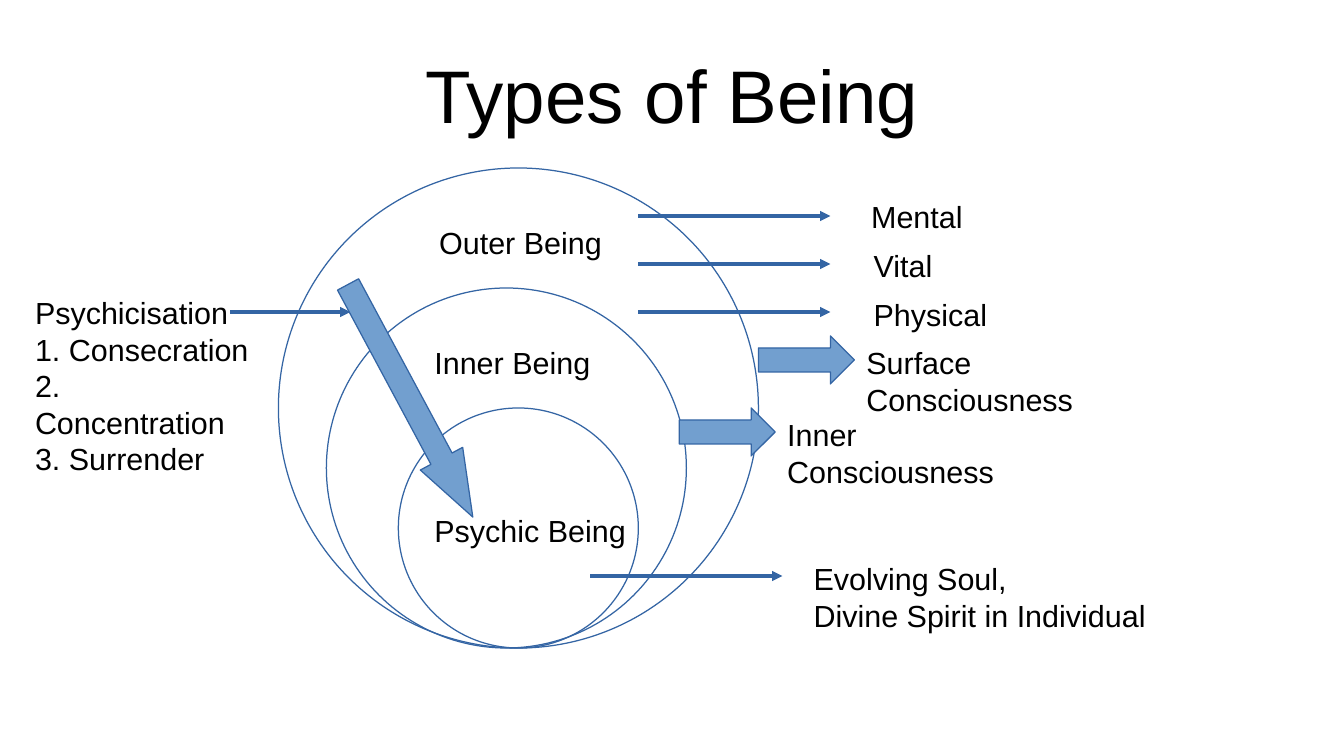
"""Build the "Types of Being" slide on a grid of 28 columns and 15.75 rows."""
from dataclasses import dataclass

from lxml.etree import SubElement
from pptx import Presentation
from pptx.dml.color import RGBColor
from pptx.enum.shapes import MSO_CONNECTOR, MSO_SHAPE
from pptx.enum.text import MSO_ANCHOR, PP_ALIGN
from pptx.oxml.ns import qn
from pptx.util import Inches, Pt

BLUE_LINE = RGBColor(0x34, 0x65, 0xA4)
BLUE_FILL = RGBColor(0x72, 0x9F, 0xCF)
BLACK = RGBColor(0, 0, 0)
FONT = "Arial"
COLUMNS, ROWS = 28, 15.75
WIDTH, HEIGHT = Inches(11.02), Inches(6.2)
CIRCLE_BOTTOM = 13.5
BODY_SIZE, TITLE_SIZE = 18, 44


@dataclass
class Circle:
    column: float
    diameter: float


@dataclass
class BlockArrow:
    column: float
    row: float
    length: float
    rotation: float = 0
    head: float = 0.5


@dataclass
class Pointer:
    column: float
    row: float
    length: float


@dataclass
class Label:
    column: float
    row: float
    width: float
    lines: tuple[str, ...]


CIRCLES = [Circle(8.3, 5), Circle(5.8, 10), Circle(6.8, 7.5)]
POINTERS = [Pointer(13.3, row, 4) for row in (4.5, 5.5, 6.5)] + [
    Pointer(12.3, 12, 4),
    Pointer(4.8, 6.5, 2.5),
]
BLOCK_ARROWS = [
    BlockArrow(15.8, 7, 2),
    BlockArrow(14.15, 8.5, 2),
    BlockArrow(5.8, 7.85, 5.5, 61.8, 1.38),
]
LABELS = [
    Label(8.8, 10.55, 4.5, ("Psychic Being",)),
    Label(8.8, 7.05, 3.76, ("Inner Being",)),
    Label(8.9, 4.55, 3.89, ("Outer Being",)),
    Label(17.9, 4, 2.41, ("Mental",)),
    Label(17.95, 5.03, 1.73, ("Vital",)),
    Label(17.95, 6.05, 2.87, ("Physical",)),
    Label(17.8, 7.05, 7.16, ("Surface Consciousness",)),
    Label(16.15, 8.55, 6.43, ("Inner Consciousness",)),
    Label(16.7, 11.55, 7.42, ("Evolving Soul,", "Divine Spirit in Individual")),
    Label(0.48, 6, 5.16, ("Psychicisation", "1. Consecration", "2. Concentration", "3. Surrender")),
]


def across(columns: float) -> int:
    return round(WIDTH * columns / COLUMNS)


def down(rows: float) -> int:
    return round(HEIGHT * rows / ROWS)


def outline(shape) -> None:
    shape.line.color.rgb = BLUE_LINE
    shape.line.width = Pt(0)


def draw_circle(page, circle: Circle) -> None:
    top = CIRCLE_BOTTOM - circle.diameter
    shape = page.shapes.add_shape(
        MSO_SHAPE.OVAL, across(circle.column), down(top), across(circle.diameter), down(circle.diameter)
    )
    shape.shadow.inherit = False
    shape.fill.background()
    outline(shape)


def draw_block_arrow(page, arrow: BlockArrow) -> None:
    shape = page.shapes.add_shape(
        MSO_SHAPE.RIGHT_ARROW, across(arrow.column), down(arrow.row), across(arrow.length), down(1)
    )
    shape.shadow.inherit = False
    shape.adjustments[1] = arrow.head
    shape.rotation = arrow.rotation
    shape.fill.solid()
    shape.fill.fore_color.rgb = BLUE_FILL
    outline(shape)


def draw_pointer(page, pointer: Pointer) -> None:
    height = down(pointer.row)
    connector = page.shapes.add_connector(
        MSO_CONNECTOR.STRAIGHT, across(pointer.column), height, across(pointer.column + pointer.length), height
    )
    outline(connector)
    SubElement(connector.line._get_or_add_ln(), qn("a:tailEnd"), type="triangle")
    SubElement(connector._element.spPr, qn("a:effectLst"))


def write_lines(frame, lines: tuple[str, ...], size: int, alignment: PP_ALIGN) -> None:
    frame.text = "\n".join(lines)
    for para in frame.paragraphs:
        para.alignment = alignment
        para.font.name = FONT
        para.font.size = Pt(size)
        para.font.color.rgb = BLACK


def draw_label(page, label: Label) -> None:
    rows = 0.26 + 0.71 * len(label.lines)
    box = page.shapes.add_textbox(across(label.column), down(label.row), across(label.width), down(rows))
    box.text_frame.word_wrap = False
    write_lines(box.text_frame, label.lines, BODY_SIZE, PP_ALIGN.LEFT)


def draw_title(page, title: str) -> None:
    box = page.shapes.add_textbox(across(1.4), down(0.63), across(25.2), down(2.63))
    frame = box.text_frame
    frame.word_wrap = True
    frame.vertical_anchor = MSO_ANCHOR.MIDDLE
    frame.margin_left = frame.margin_right = frame.margin_top = frame.margin_bottom = 0
    write_lines(frame, (title,), TITLE_SIZE, PP_ALIGN.CENTER)


def main() -> None:
    deck = Presentation()
    deck.slide_width, deck.slide_height = WIDTH, HEIGHT
    page = deck.slides.add_slide(deck.slide_layouts[6])
    draw_title(page, "Types of Being")
    for circle in CIRCLES:
        draw_circle(page, circle)
    for pointer in POINTERS:
        draw_pointer(page, pointer)
    for arrow in BLOCK_ARROWS:
        draw_block_arrow(page, arrow)
    for label in LABELS:
        draw_label(page, label)
    deck.save("out.pptx")


if __name__ == "__main__":
    main()
